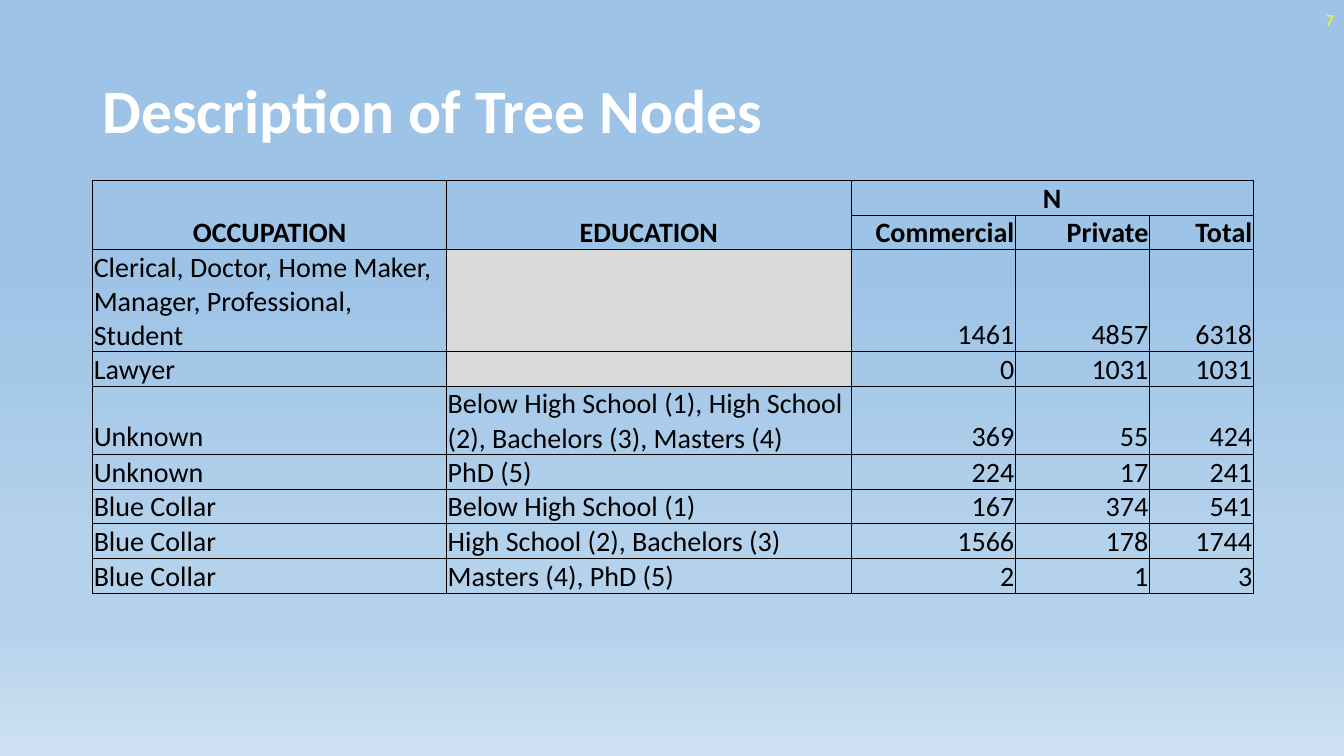
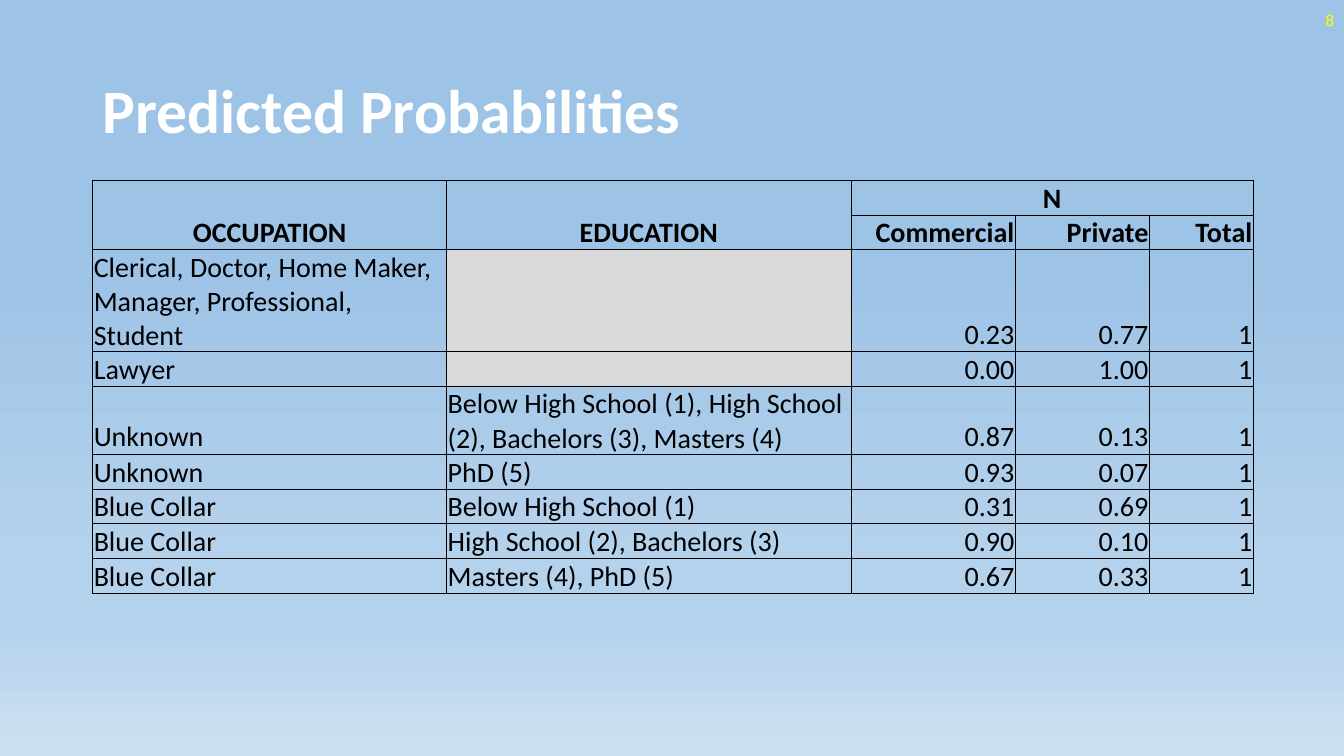
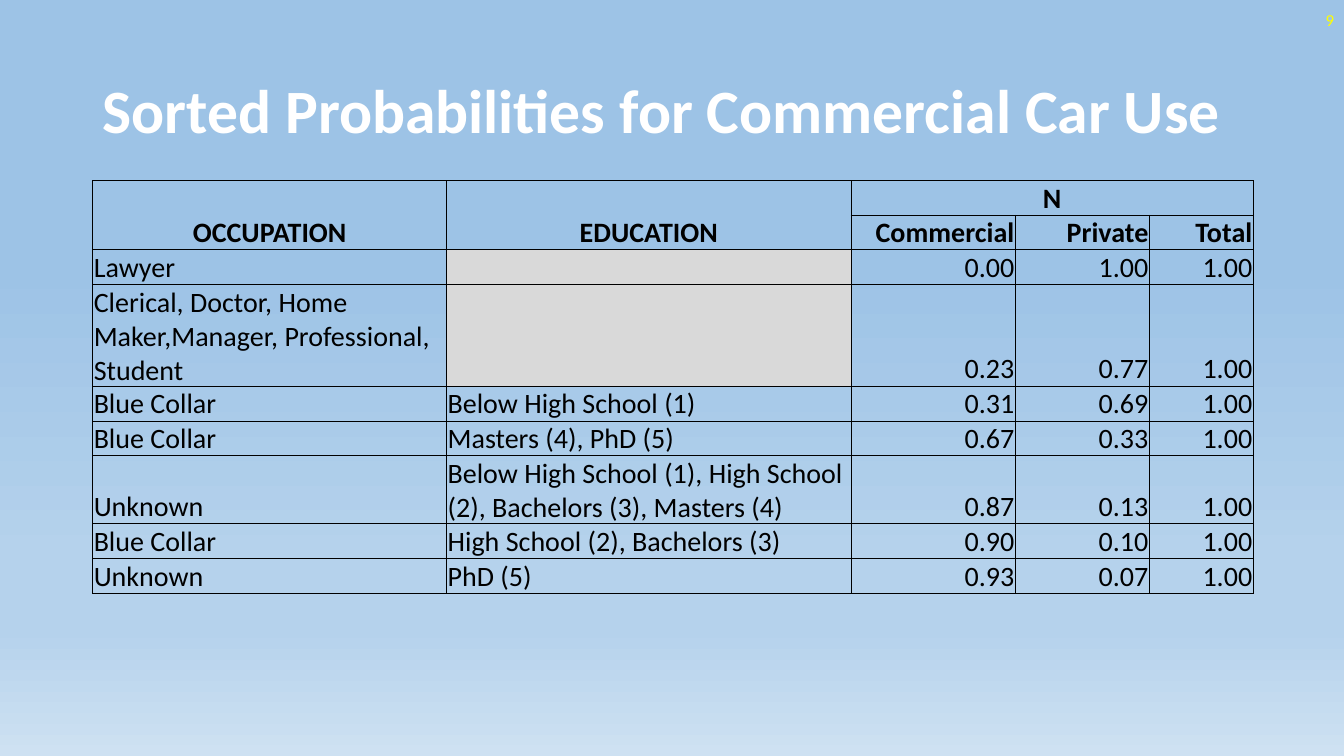
from dataclasses import astuple, dataclass, replace

from lxml.etree import SubElement
from pptx import Presentation
from pptx.dml.color import RGBColor
from pptx.enum.text import MSO_ANCHOR as Anchor, PP_ALIGN as Align
from pptx.oxml import parse_xml
from pptx.oxml.ns import nsdecls, qn
from pptx.util import Inches, Pt

FONT = "Calibri"
COLORS = {
    "title": "FFFFFF",
    "number": "FFFF00",
    "text": "000000",
    "border": "000000",
    "empty": "D9D9D9",
}
SKY = [(35, "9DC3E6"), (74, "B5D2EC"), (83, "B5D2EC"), (100, "CEE1F2")]
COL_WIDTHS = [3.51, 4.01, 1.63, 1.33, 1.03]
ROW_HEIGHT = 0.34
FIRST_NUMBER = 7


@dataclass
class Node:
    occupation: str
    education: str
    commercial: str
    private: str
    total: str


@dataclass
class TableSlide:
    title: str
    nodes: list[Node]


# Content
OFFICE = "Clerical, Doctor, Home Maker, Manager, Professional, Student"
OFFICE_SORTED = "Clerical, Doctor, Home Maker,Manager, Professional, Student"
GROUPS = [
    (OFFICE, ""),
    ("Lawyer", ""),
    ("Unknown", "Below High School (1), High School (2), Bachelors (3), Masters (4)"),
    ("Unknown", "PhD (5)"),
    ("Blue Collar", "Below High School (1)"),
    ("Blue Collar", "High School (2), Bachelors (3)"),
    ("Blue Collar", "Masters (4), PhD (5)"),
]
COUNTS = [
    ("1461", "4857", "6318"),
    ("0", "1031", "1031"),
    ("369", "55", "424"),
    ("224", "17", "241"),
    ("167", "374", "541"),
    ("1566", "178", "1744"),
    ("2", "1", "3"),
]
PROBABILITIES = [
    ("0.23", "0.77", "1"),
    ("0.00", "1.00", "1"),
    ("0.87", "0.13", "1"),
    ("0.93", "0.07", "1"),
    ("0.31", "0.69", "1"),
    ("0.90", "0.10", "1"),
    ("0.67", "0.33", "1"),
]


def make_nodes(values: list[tuple[str, str, str]]) -> list[Node]:
    return [Node(*group, *numbers) for group, numbers in zip(GROUPS, values)]


def sort_nodes(nodes: list[Node]) -> list[Node]:
    """Order by commercial probability, with totals to two decimals."""
    ordered = sorted(nodes, key=lambda n: float(n.commercial))
    return [
        replace(
            n,
            occupation=OFFICE_SORTED if n.occupation == OFFICE else n.occupation,
            total=f"{float(n.total):.2f}",
        )
        for n in ordered
    ]


# Shared parts
def set_background(master) -> None:
    fill = master.background.fill
    fill.gradient()
    fill.gradient_angle = 270
    stops = master.element.find(".//" + qn("a:gsLst"))
    for stop in list(stops):
        stops.remove(stop)
    for pos, color in SKY:
        stop = SubElement(stops, qn("a:gs"), pos=str(pos * 1000))
        SubElement(stop, qn("a:srgbClr"), val=color)


def write(tf, text: str, size: float, color: str, align: Align, bold: bool = False):
    p = tf.paragraphs[0]
    p.alignment = align
    r = p.add_run()
    r.text = text
    r.font.name = FONT
    r.font.size = Pt(size)
    r.font.bold = bold
    r.font.color.rgb = RGBColor.from_string(COLORS[color])
    return p


def add_text_frame(s, left: float, top: float, width: float, height: float):
    box = s.shapes.add_textbox(Inches(left), Inches(top), Inches(width), Inches(height))
    tf = box.text_frame
    tf.word_wrap = True
    tf.vertical_anchor = Anchor.MIDDLE
    return tf


def add_header(s, title: str, number: int) -> None:
    p = write(add_text_frame(s, 0.92, 0.4, 11.5, 1.45), title, 44, "title", Align.LEFT, True)
    p.line_spacing = 0.9
    write(add_text_frame(s, 10.33, 0, 3, 0.4), str(number), 12, "number", Align.RIGHT)


# Table
def style_cell(cell) -> None:
    cell.margin_left = cell.margin_right = cell.margin_top = Inches(0.01)
    cell.margin_bottom = 0
    cell.vertical_anchor = Anchor.BOTTOM
    cell.fill.background()
    tc_pr = cell._tc.get_or_add_tcPr()
    for i, side in enumerate("LRTB"):
        tc_pr.insert(i, parse_xml(
            f'<a:ln{side} {nsdecls("a")} w="{Pt(0.5)}"><a:solidFill>'
            f'<a:srgbClr val="{COLORS["border"]}"/></a:solidFill></a:ln{side}>'
        ))


def add_node_table(s, nodes: list[Node]) -> None:
    rows = len(nodes) + 2
    table = s.shapes.add_table(
        rows, len(COL_WIDTHS), Inches(0.92), Inches(1.79),
        Inches(sum(COL_WIDTHS)), Inches(ROW_HEIGHT * rows),
    ).table
    table.first_row = table.horz_banding = False
    for col, width in zip(table.columns, COL_WIDTHS):
        col.width = Inches(width)
    for cell in table.iter_cells():
        style_cell(cell)

    # Two-level heading
    for col, text in enumerate(["OCCUPATION", "EDUCATION", "N"]):
        cell = table.cell(0, col)
        cell.merge(table.cell(0, 4) if text == "N" else table.cell(1, col))
        write(cell.text_frame, text, 20, "text", Align.CENTER, True)
    for col, text in enumerate(["Commercial", "Private", "Total"], 2):
        write(table.cell(1, col).text_frame, text, 20, "text", Align.RIGHT, True)

    # Tree nodes
    for row, node in enumerate(nodes, 2):
        for col, text in enumerate(astuple(node)):
            cell = table.cell(row, col)
            if text:
                align = Align.LEFT if col < 2 else Align.RIGHT
                write(cell.text_frame, text, 20, "text", align)
            else:
                cell.fill.solid()
                cell.fill.fore_color.rgb = RGBColor.from_string(COLORS["empty"])


def main() -> None:
    prs = Presentation()
    prs.slide_width, prs.slide_height = Inches(13.33), Inches(7.5)
    set_background(prs.slide_master)
    probabilities = make_nodes(PROBABILITIES)
    slides = [
        TableSlide("Description of Tree Nodes", make_nodes(COUNTS)),
        TableSlide("Predicted Probabilities", probabilities),
        TableSlide("Sorted Probabilities for Commercial Car Use", sort_nodes(probabilities)),
    ]
    for number, content in enumerate(slides, FIRST_NUMBER):
        s = prs.slides.add_slide(prs.slide_layouts[6])
        add_header(s, content.title, number)
        add_node_table(s, content.nodes)
    prs.save("out.pptx")


if __name__ == "__main__":
    main()
